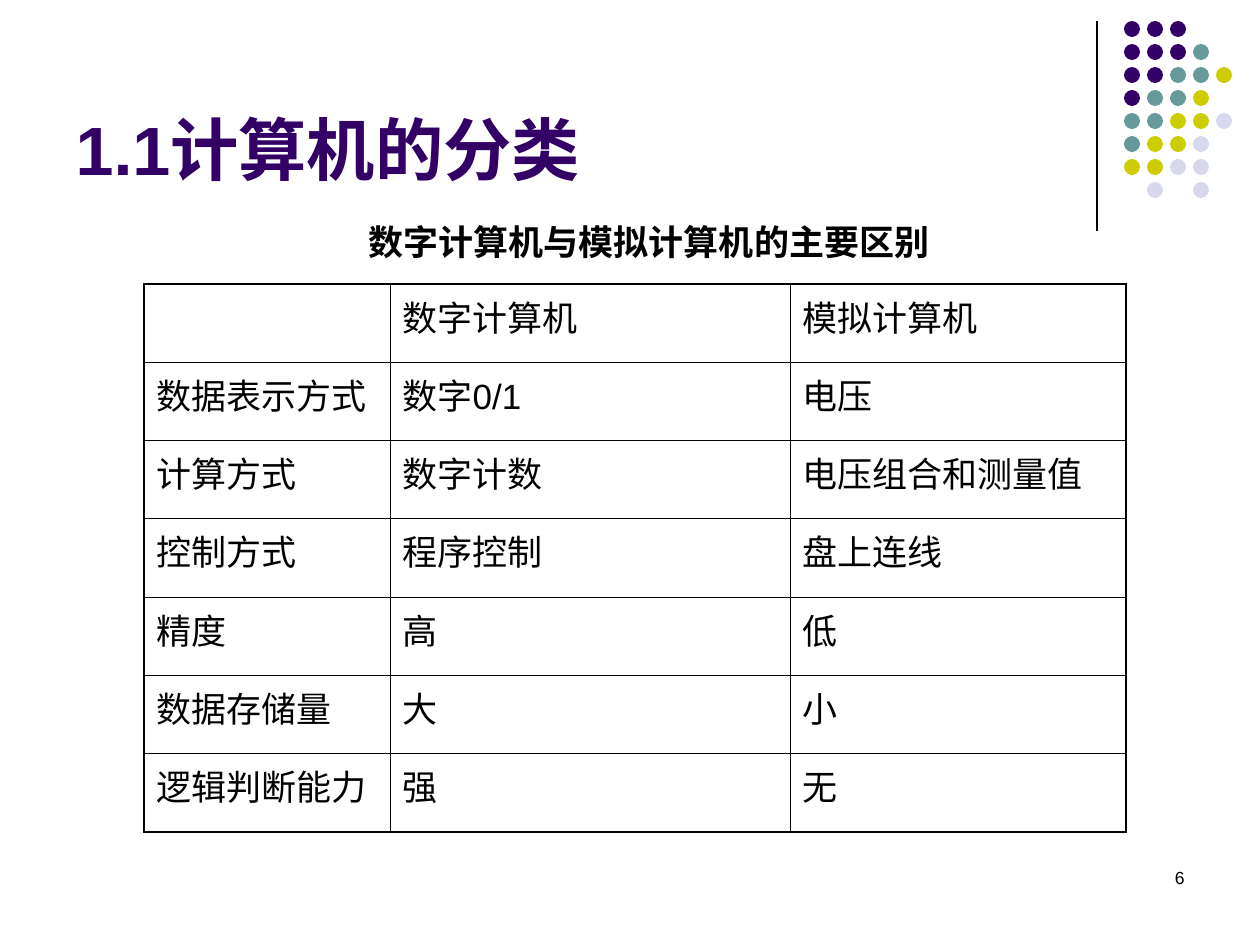
import pptx
import pptx.util
import pptx.dml.color
import pptx.enum.shapes
import pptx.enum.text
import pptx.oxml
import pptx.oxml.ns

SCALE = 914400 / 126
FONT = "Arial"
COLORS = {
    "text": "000000",
    "purple": "330066",
    "teal": "669999",
    "olive": "CCCC00",
    "lavender": "D8D8EC",
}
DOT_COLORS = {"P": "purple", "T": "teal", "O": "olive", "L": "lavender"}
DOT_ROWS = ["PPP", "PPPT", "PPTTO", "PTTO", "TTOOL", "TOOL", "OOLL", " L L"]
COLUMN_WIDTHS = [246, 400, 336]
TABLE_ROWS = [
    ["", "数字计算机", "模拟计算机"],
    ["数据表示方式", "数字0/1", "电压"],
    ["计算方式", "数字计数", "电压组合和测量值"],
    ["控制方式", "程序控制", "盘上连线"],
    ["精度", "高", "低"],
    ["数据存储量", "大", "小"],
    ["逻辑判断能力", "强", "无"],
]
ALIGN = pptx.enum.text.PP_ALIGN
ANCHOR = pptx.enum.text.MSO_ANCHOR


def px(length):
    """Turn a length in px into EMU."""
    return pptx.util.Emu(round(length * SCALE))


def color(name):
    """Return the named colour."""
    return pptx.dml.color.RGBColor.from_string(COLORS[name])


def write(frame, text, size=20, ink="text", bold=False, align=ALIGN.LEFT,
          before=0, anchor=ANCHOR.TOP, wrap=True):
    """Put one formatted paragraph into a text frame."""
    frame.word_wrap = wrap
    frame.vertical_anchor = anchor
    para = frame.paragraphs[0]
    para.alignment = align
    para.space_before = pptx.util.Pt(before)
    span = para.add_run()
    span.text = text
    span.font.name = FONT
    span.font.size = pptx.util.Pt(size)
    span.font.bold = bold
    span.font.color.rgb = color(ink)


def add_title(page, left, top, width, height):
    """Place and fill the title placeholder."""
    title = page.shapes.title
    title.left, title.top = px(left), px(top)
    title.width, title.height = px(width), px(height)
    write(title.text_frame, "1.1计算机的分类", size=39, ink="purple",
          bold=True, anchor=ANCHOR.BOTTOM)


def add_text(page, left, top, width, height, text, **style):
    """Add a text box with one paragraph."""
    box = page.shapes.add_textbox(px(left), px(top), px(width), px(height))
    write(box.text_frame, text, **style)


def add_ornament(page, left, top, height):
    """Draw the vertical rule and the grid of dots to its right."""
    rule = page.shapes.add_connector(
        pptx.enum.shapes.MSO_CONNECTOR.STRAIGHT,
        px(left), px(top), px(left), px(top + height))
    rule.line.color.rgb = color("text")
    rule.line.width = pptx.util.Pt(0.75)
    properties = rule._element.spPr
    properties.append(properties.makeelement(pptx.oxml.ns.qn("a:effectLst"), {}))
    offset, pitch, size = 27, 23, 16
    dots = page.shapes.add_group_shape()
    for row, pattern in enumerate(DOT_ROWS):
        for column, key in enumerate(pattern):
            if key not in DOT_COLORS:
                continue
            dot = dots.shapes.add_shape(
                pptx.enum.shapes.MSO_SHAPE.OVAL,
                px(left + offset + column * pitch), px(top + row * pitch),
                px(size), px(size))
            dot.shadow.inherit = False
            dot.fill.solid()
            dot.fill.fore_color.rgb = color(DOT_COLORS[key])
            dot.line.fill.background()


def set_borders(cell, outer):
    """Give a cell thin borders, thicker on the sides named in outer."""
    properties = cell._tc.get_or_add_tcPr()
    for side in "LRTB":
        width = pptx.util.Pt(1.08 if side in outer else 0.45)
        properties.append(pptx.oxml.parse_xml(
            f'<a:ln{side} {pptx.oxml.ns.nsdecls("a")} w="{width}"><a:solidFill>'
            f'<a:srgbClr val="{COLORS["text"]}"/></a:solidFill></a:ln{side}>'))


def add_comparison(page, left, top, height):
    """Add the table that compares the two kinds of computer."""
    last_row, last_column = len(TABLE_ROWS) - 1, len(COLUMN_WIDTHS) - 1
    table = page.shapes.add_table(
        len(TABLE_ROWS), len(COLUMN_WIDTHS), px(left), px(top),
        px(sum(COLUMN_WIDTHS)), px(height)).table
    table.first_row = table.horz_banding = False
    for column, width in zip(table.columns, COLUMN_WIDTHS):
        column.width = px(width)
    for row, texts in enumerate(TABLE_ROWS):
        table.rows[row].height = px(height / len(TABLE_ROWS))
        for column, text in enumerate(texts):
            cell = table.cell(row, column)
            sides = {"L": column == 0, "R": column == last_column,
                     "T": row == 0, "B": row == last_row}
            set_borders(cell, [side for side in sides if sides[side]])
            cell.fill.background()
            if text:
                write(cell.text_frame, text, before=5)


def main():
    """Build the slide and save it."""
    deck = pptx.Presentation()
    deck.slide_width, deck.slide_height = px(1260), px(945)
    page = deck.slides.add_slide(deck.slide_layouts[5])
    add_ornament(page, 1097, 21, 210)
    add_text(page, 903, 861, 294, 63, "6", size=10, align=ALIGN.RIGHT)
    add_title(page, 63, 16, 1040, 179)
    add_comparison(page, 144, 284, 548)
    add_text(page, 356, 214, 586, 55, "数字计算机与模拟计算机的主要区别",
             bold=True, wrap=False)
    deck.save("out.pptx")


if __name__ == "__main__":
    main()
